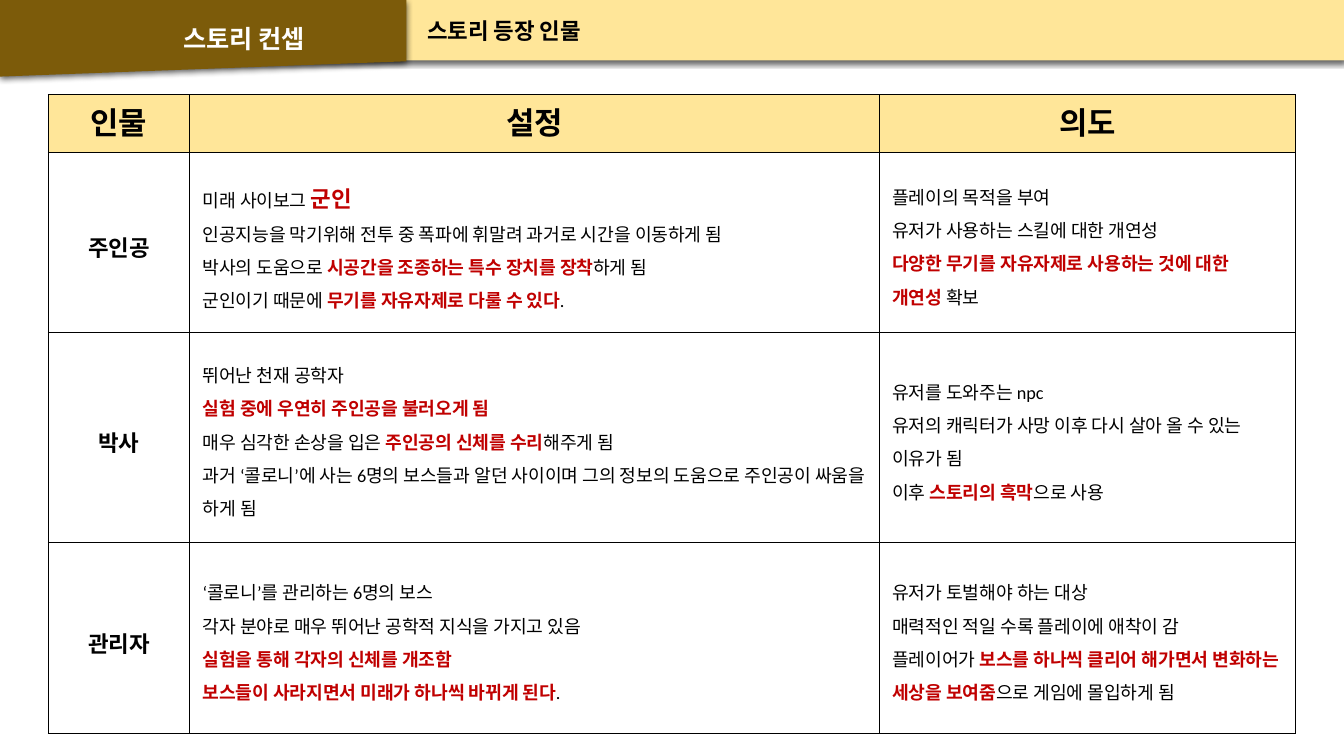
from lxml import etree
from pptx import Presentation
from pptx.dml.color import RGBColor
from pptx.enum.shapes import MSO_SHAPE
from pptx.enum.text import MSO_ANCHOR, PP_ALIGN
from pptx.oxml.ns import qn
from pptx.util import Inches, Pt

RECTANGLE = MSO_SHAPE.RECTANGLE
SLANTED = MSO_SHAPE.FLOWCHART_MANUAL_INPUT
MIDDLE = MSO_ANCHOR.MIDDLE
LEFT, CENTER = PP_ALIGN.LEFT, PP_ALIGN.CENTER

FONT = "Calibri"
BLACK = RGBColor(0x00, 0x00, 0x00)
WHITE = RGBColor(0xFF, 0xFF, 0xFF)
CREAM = RGBColor(0xFF, 0xE6, 0x99)
BROWN = RGBColor(0x7C, 0x5B, 0x0A)
RED = RGBColor(0xC0, 0x00, 0x00)

# Text formats: size in points, weight, colour
TITLE = {"size": Pt(18), "bold": True, "color": WHITE}
HEADING = {"size": Pt(16), "bold": True, "color": BLACK}
HEADER = {"size": Pt(22), "bold": True, "color": BLACK}
PLAIN = {"size": Pt(13), "bold": False, "color": BLACK}
STRONG = {"size": Pt(13), "bold": True, "color": RED}
LARGE = {"size": Pt(16), "bold": True, "color": RED}

# Content: a cell is a list of lines, a line is a list of (text, format)
COLUMN_NAMES = ["인물", "설정", "의도"]
CHARACTERS = [
    ("주인공",
     [[("미래 사이보그 ", PLAIN), ("군인", LARGE)],
      [("인공지능을 막기위해 전투 중 폭파에 휘말려 과거로 시간을 이동하게 됨", PLAIN)],
      [("박사의 도움으로 ", PLAIN), ("시공간을 조종하는 특수 장치를 장착", STRONG),
       ("하게 됨", PLAIN)],
      [("군인이기 때문에 ", PLAIN), ("무기를 자유자제로 다룰 수 있다", STRONG),
       (".", PLAIN)]],
     [[("플레이의 목적을 부여", PLAIN)],
      [("유저가 사용하는 스킬에 대한 개연성", PLAIN)],
      [("다양한 무기를 자유자제로 사용하는 것에 대한 개연성", STRONG),
       (" 확보", PLAIN)]]),
    ("박사",
     [[("뛰어난 천재 공학자", PLAIN)],
      [("실험 중에 우연히 주인공을 불러오게 됨", STRONG)],
      [("매우 심각한 손상을 입은 ", PLAIN), ("주인공의 신체를 수리", STRONG),
       ("해주게 됨", PLAIN)],
      [("과거 ‘콜로니’에 사는 6명의 보스들과 알던 사이이며 "
        "그의 정보의 도움으로 주인공이 싸움을 하게 됨", PLAIN)]],
     [[("유저를 도와주는 npc", PLAIN)],
      [("유저의 캐릭터가 사망 이후 다시 살아 올 수 있는 이유가 됨", PLAIN)],
      [("이후 ", PLAIN), ("스토리의 흑막", STRONG), ("으로 사용", PLAIN)]]),
    ("관리자",
     [[("‘콜로니’를 관리하는 6명의 보스", PLAIN)],
      [("각자 분야로 매우 뛰어난 공학적 지식을 가지고 있음", PLAIN)],
      [("실험을 통해 각자의 신체를 개조함", STRONG)],
      [("보스들이 사라지면서 미래가 하나씩 바뀌게 된다", STRONG), (".", PLAIN)]],
     [[("유저가 토벌해야 하는 대상", PLAIN)],
      [("매력적인 적일 수록 플레이에 애착이 감", PLAIN)],
      [("플레이어가 ", PLAIN),
       ("보스를 하나씩 클리어 해가면서 변화하는 세상을 보여줌", STRONG),
       ("으로 게임에 몰입하게 됨", PLAIN)]]),
]

# Layout in inches
PAGE_WIDTH, PAGE_HEIGHT = 13.33, 7.5
TABLE_LEFT, TABLE_TOP = 0.48, 0.94
COLUMN_WIDTHS = [1.4, 6.84, 4.13]
ROW_HEIGHTS = [0.57, 1.79, 2.08, 1.9]


def write_lines(frame, lines, align=LEFT, spacing=1.5):
    for index, line in enumerate(lines):
        para = frame.add_paragraph() if index else frame.paragraphs[0]
        para.alignment = align
        para.line_spacing = spacing
        for text, style in line:
            span = para.add_run()
            span.text = text
            span.font.name = FONT
            span.font.color.rgb = style["color"]
            for name in ("size", "bold"):
                setattr(span.font, name, style[name])
            # The same typeface for Korean letters, spaces and quotes
            for script in ("ea", "cs"):
                etree.SubElement(span._r.get_or_add_rPr(), qn("a:" + script),
                                 typeface=FONT)


def add_band(page, kind, width, height, color, rotation=0):
    band = page.shapes.add_shape(kind, 0, 0, Inches(width), Inches(height))
    band.rotation = rotation
    band.fill.solid()
    band.fill.fore_color.rgb = color
    band.line.fill.background()
    band.shadow.inherit = False
    effects = band._element.spPr.find(qn("a:effectLst"))
    shadow = etree.SubElement(
        effects, qn("a:outerShdw"), blurRad=str(Pt(4.5)), dist=str(Pt(1.5)),
        dir="5400000", algn="ctr", rotWithShape="0")
    tint = etree.SubElement(shadow, qn("a:srgbClr"), val=str(BLACK))
    etree.SubElement(tint, qn("a:alpha"), val="63000")


def add_label(page, place, text, style, align, spacing):
    box = page.shapes.add_textbox(*map(Inches, place))
    box.text_frame.word_wrap = True
    box.text_frame.vertical_anchor = MIDDLE
    write_lines(box.text_frame, [[(text, style)]], align, spacing)


def fill_cell(cell, lines, color, align, spacing):
    cell.vertical_anchor = MIDDLE
    cell.margin_left = cell.margin_right = Inches(0.13)
    cell.margin_top = cell.margin_bottom = Inches(0.07)
    write_lines(cell.text_frame, lines, align, spacing)
    # Borders come before the fill in the cell properties
    properties = cell._tc.get_or_add_tcPr()
    for side in ("lnL", "lnR", "lnT", "lnB"):
        border = etree.SubElement(properties, qn("a:" + side), w=str(Pt(1)))
        solid = etree.SubElement(border, qn("a:solidFill"))
        etree.SubElement(solid, qn("a:srgbClr"), val=str(BLACK))
    cell.fill.solid()
    cell.fill.fore_color.rgb = color


def add_character_table(page):
    frame = page.shapes.add_table(
        len(ROW_HEIGHTS), len(COLUMN_WIDTHS), Inches(TABLE_LEFT), Inches(TABLE_TOP),
        Inches(sum(COLUMN_WIDTHS)), Inches(sum(ROW_HEIGHTS)))
    table = frame.table
    for column, width in zip(table.columns, COLUMN_WIDTHS):
        column.width = Inches(width)
    for row, height in zip(table.rows, ROW_HEIGHTS):
        row.height = Inches(height)
    for column, name in enumerate(COLUMN_NAMES):
        fill_cell(table.cell(0, column), [[(name, HEADER)]], CREAM, CENTER, 1.0)
    for row, (name, setting, purpose) in enumerate(CHARACTERS, start=1):
        for column, lines in enumerate([[[(name, HEADING)]], setting, purpose]):
            align = LEFT if column else CENTER
            fill_cell(table.cell(row, column), lines, WHITE, align, 1.5)


def main():
    deck = Presentation()
    deck.slide_width, deck.slide_height = Inches(PAGE_WIDTH), Inches(PAGE_HEIGHT)
    page = deck.slides.add_slide(deck.slide_layouts[6])

    # Header bands and their labels
    add_band(page, RECTANGLE, PAGE_WIDTH, 0.6, CREAM)
    add_band(page, SLANTED, 4.03, 0.76, BROWN, rotation=180)
    add_label(page, (0.92, 0.05, 3, 0.52), "스토리 컨셉", TITLE, CENTER, 1.5)
    add_label(page, (4.14, 0.12, 8.28, 0.36), "스토리 등장 인물", HEADING, LEFT, 1.0)

    # Characters
    add_character_table(page)
    deck.save("out.pptx")


if __name__ == "__main__":
    main()
